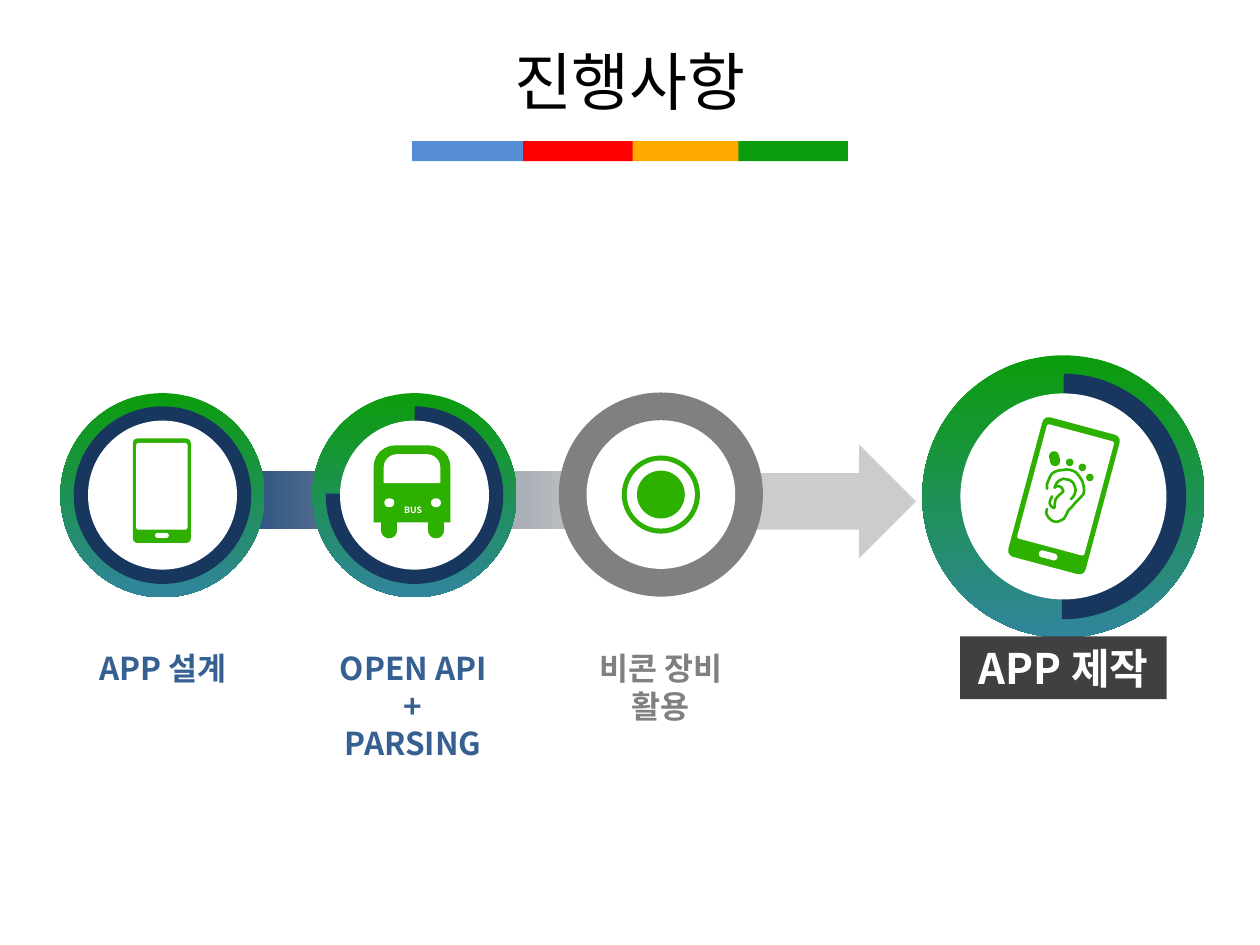
"""Build the progress slide: a colour bar, four round stages and an arrow."""
import dataclasses
import math
import typing

import lxml.etree
import pptx
import pptx.dml.color
import pptx.enum.shapes
import pptx.enum.text
import pptx.oxml.ns
import pptx.util

Inches = pptx.util.Inches
Pt = pptx.util.Pt
KIND = pptx.enum.shapes.MSO_SHAPE
FONT = "Noto Sans CJK KR"
HUES = {
    "black": "000000", "white": "FFFFFF", "gray": "808080", "dark": "404040",
    "green": "0B9D0B", "amber": "FFAA01", "red": "FF0000", "sky": "558ED5",
    "blue": "376092", "deep": "1F497D", "navy": "17375E", "teal": "31859C",
    "leaf": "2DB000",
}


@dataclasses.dataclass
class Part:
    """A preset shape placed by its centre, in inches."""
    kind: int
    x: float
    y: float
    w: float
    h: float
    fill: str
    turn: float = 0
    adj: tuple = ()
    edge: float = 0


@dataclasses.dataclass
class Label:
    """A text box placed by its left, top, width and height."""
    lines: tuple
    box: tuple
    size: float
    hue: str
    bold: bool = True
    wrap: bool = False
    inset: float = 0.08


def tint(name: str) -> pptx.dml.color.RGBColor:
    """Return the named colour."""
    return pptx.dml.color.RGBColor.from_string(HUES[name])


def tag(host: typing.Any, name: str, **atts: str) -> typing.Any:
    """Add a drawing element below the host."""
    return lxml.etree.SubElement(host, pptx.oxml.ns.qn(name), atts)


def fade(shape: typing.Any) -> None:
    """Make the last fill colour of a shape 40 percent opaque."""
    hue = list(shape._element.spPr.iter(pptx.oxml.ns.qn("a:srgbClr")))[-1]
    tag(hue, "a:alpha", val="40000")


def blend(shape: typing.Any, names: tuple, angle: float) -> None:
    """Fill a shape with a gradient of two colours."""
    shape.fill.gradient()
    shape.fill.gradient_angle = angle
    for stop, name in zip(shape.fill.gradient_stops, names):
        stop.color.rgb = tint(name)


def draw(host: typing.Any, part: Part) -> typing.Any:
    """Draw one preset shape."""
    shape = host.shapes.add_shape(
        part.kind, Inches(part.x - part.w / 2), Inches(part.y - part.h / 2),
        Inches(part.w), Inches(part.h))
    shape.shadow.inherit = False
    shape.rotation = part.turn
    for place, value in enumerate(part.adj):
        shape.adjustments[place] = value
    shape.fill.solid()
    shape.fill.fore_color.rgb = tint(part.fill)
    if part.edge:
        shape.line.color.rgb = tint(part.fill)
        shape.line.width = Pt(part.edge)
    else:
        shape.line.fill.background()
    return shape


def fill(shape: typing.Any, label: Label) -> None:
    """Fill a shape with centred text."""
    frame = shape.text_frame
    style = {"word_wrap": label.wrap, "margin_left": Inches(label.inset),
             "margin_right": Inches(label.inset),
             "auto_size": pptx.enum.text.MSO_AUTO_SIZE.SHAPE_TO_FIT_TEXT}
    for key, value in style.items():
        setattr(frame, key, value)
    frame.text = "\n".join(label.lines)
    for para in frame.paragraphs:
        para.alignment = pptx.enum.text.PP_ALIGN.CENTER
        run = para.runs[0]
        looks = {"name": FONT, "size": Pt(label.size), "bold": label.bold}
        for key, value in looks.items():
            setattr(run.font, key, value)
        run.font.color.rgb = tint(label.hue)
        tag(run._r.get_or_add_rPr(), "a:ea", typeface=FONT)


def write(host: typing.Any, label: Label) -> None:
    """Write a label in a text box."""
    fill(host.shapes.add_textbox(*map(Inches, label.box)), label)


def stroke(shape: typing.Any, width: float) -> None:
    """Give a line the leaf colour and round ends."""
    shape.line.color.rgb = tint("leaf")
    shape.line.width = Pt(width)
    shape.line._get_or_add_ln().set("cap", "rnd")


def disc(host: typing.Any, x: float, y: float, size: float, hue: str,
         turn: float = 0) -> typing.Any:
    """Draw a plain circle."""
    return draw(host, Part(KIND.OVAL, x, y, size, size, hue, turn))


def badge(host: typing.Any, x: float, y: float, size: float, end: float) -> None:
    """Draw a ring with a gauge that runs from the top to the end angle."""
    blend(disc(host, x, y, size, "green", 270), ("green", "teal"), 180)
    gauge = size * 0.87
    draw(host, Part(KIND.PIE, x, y, gauge, gauge, "navy", 0, (162.1, end)))
    disc(host, x, y, size * 0.73, "white")


def phone(host: typing.Any, x: float, y: float, scale: float, turn: float) -> None:
    """Draw a phone turned about its centre."""
    angle = math.radians(turn)
    for drop, w, h, hue, curve, edge in (
            (0, 0.46, 0.83, "leaf", 0.08, 0),
            (-0.035, 0.38, 0.66, "white", 0.01, 2),
            (0.355, 0.11, 0.04, "white", 0.5, 0)):
        draw(host, Part(
            KIND.ROUNDED_RECTANGLE, x - drop * scale * math.sin(angle),
            y + drop * scale * math.cos(angle), w * scale, h * scale,
            hue, turn, (curve,), edge))


def bus(host: typing.Any) -> None:
    """Draw the front of a bus."""
    for x in (3.09, 3.46):
        leg = host.shapes.add_connector(
            pptx.enum.shapes.MSO_CONNECTOR.STRAIGHT,
            Inches(x), Inches(4.03), Inches(x), Inches(4.21))
        stroke(leg, 9)
        tag(leg._element.spPr, "a:effectLst")
    top = KIND.ROUND_2_SAME_RECTANGLE
    draw(host, Part(top, 3.27, 3.84, 0.61, 0.61, "leaf", 0, (0.28, 0)))
    draw(host, Part(top, 3.27, 3.72, 0.45, 0.23, "white", 0, (0.46, 0)))
    write(host, Label(("BUS",), (3.08, 3.96, 0.4, 0.21), 5, "white"))
    for x in (3.09, 3.46):
        draw(host, Part(top, x, 3.99, 0.08, 0.07, "white", 0, (0.5, 0.5)))


def trace(host: typing.Any, dots: tuple) -> None:
    """Draw an open curve whose dots are the ends and handles of cubic spans."""
    points = [tuple(map(Inches, dot)) for dot in dots]
    pen = host.shapes.build_freeform(*points[0])
    pen.add_line_segments(points[1:], close=False)
    shape = pen.convert_to_shape()
    shape.shadow.inherit = False
    shape.fill.background()
    stroke(shape, 1.5)
    steps = list(shape._element.iter(pptx.oxml.ns.qn("a:lnTo")))
    track = steps[0].getparent()
    for start in range(0, len(steps), 3):
        span = tag(track, "a:cubicBezTo")
        for step in steps[start:start + 3]:
            span.append(step[0])
            track.remove(step)


CURVES = (
    ((8.37, 3.87), (8.38, 3.86), (8.4, 3.85), (8.41, 3.86), (8.42, 3.86), (8.44, 3.88),
     (8.44, 3.9), (8.43, 3.91), (8.39, 3.94), (8.38, 3.96), (8.37, 3.98), (8.37, 4.02),
     (8.37, 4.03), (8.36, 4.04), (8.33, 4.01), (8.33, 3.99), (8.33, 3.98), (8.34, 3.96),
     (8.35, 3.94)),
    ((8.37, 3.87), (8.38, 3.85), (8.38, 3.84), (8.39, 3.83), (8.4, 3.82), (8.42, 3.8),
     (8.44, 3.8), (8.45, 3.8), (8.48, 3.81), (8.49, 3.81), (8.51, 3.82), (8.53, 3.84),
     (8.53, 3.86), (8.54, 3.88), (8.54, 3.9), (8.53, 3.92), (8.53, 3.94), (8.51, 3.95),
     (8.5, 3.96)),
    ((8.31, 3.88), (8.31, 3.87), (8.31, 3.86), (8.31, 3.84), (8.32, 3.82), (8.33, 3.78),
     (8.35, 3.76), (8.37, 3.74), (8.41, 3.73), (8.44, 3.73), (8.47, 3.72), (8.51, 3.73),
     (8.54, 3.75), (8.56, 3.77), (8.58, 3.8), (8.59, 3.82), (8.6, 3.85), (8.61, 3.89),
     (8.6, 3.92), (8.58, 3.95), (8.53, 3.99), (8.51, 4.02), (8.49, 4.04), (8.49, 4.04),
     (8.48, 4.05), (8.47, 4.06), (8.47, 4.08), (8.46, 4.09), (8.45, 4.1), (8.45, 4.12),
     (8.44, 4.12), (8.42, 4.13), (8.39, 4.15), (8.37, 4.14), (8.35, 4.14), (8.32, 4.11),
     (8.31, 4.09), (8.3, 4.08), (8.3, 4.06), (8.31, 4.04)),
)


def main() -> None:
    """Build and save the slide."""
    deck = pptx.Presentation()
    deck.slide_width, deck.slide_height = Inches(10), Inches(7.5)
    slide = deck.slides.add_slide(deck.slide_layouts[6])
    write(slide, Label(("진행사항",), (3.98, 0.29, 2.04, 0.71), 36, "black", False))
    bar = slide.shapes.add_group_shape()
    for x, hue in ((6.29, "green"), (5.42, "amber"), (4.58, "red"), (3.71, "sky")):
        draw(bar, Part(KIND.RECTANGLE, x, 1.2, 0.16, 0.88, hue, 90))
    flow = slide.shapes.add_group_shape()
    fade(draw(flow, Part(KIND.RIGHT_ARROW, 6.24, 3.98, 2.06, 0.9, "gray")))
    write(flow, Label(("APP 설계",), (0.66, 5.1, 1.27, 0.4), 18, "blue"))
    write(flow, Label(("OPEN API", "+", "PARSING"), (2.57, 5.1, 1.42, 1.01), 18, "blue"))
    band = draw(flow, Part(KIND.RECTANGLE, 3.37, 3.97, 3.15, 0.45, "gray"))
    blend(band, ("deep", "gray"), 0)
    fade(band)
    badge(flow, 1.29, 3.93, 1.62, 161.98)
    phone(flow, 1.285, 3.895, 1, 0)
    badge(flow, 3.29, 3.93, 1.62, 108.63)
    bus(flow)
    for size, hue in ((1.62, "gray"), (1.18, "white"), (0.62, "leaf"),
                      (0.54, "white"), (0.38, "leaf")):
        disc(flow, 5.245, 3.925, size, hue)
    write(flow, Label(("비콘 장비 활용",), (4.4, 5.1, 1.69, 0.4), 18, "gray", True, True, 0.2))
    badge(flow, 8.44, 3.94, 2.24, 54.47)
    plate = draw(flow, Part(KIND.RECTANGLE, 8.44, 5.3, 1.64, 0.5, "dark"))
    fill(plate, Label(("APP 제작",), (), 24, "white"))
    phone(flow, 8.445, 3.935, 1.38, 15)
    for dots in CURVES:
        trace(flow, dots)
    for x, y, w, h, turn in ((8.37, 3.64, 0.08, 0.12, 347.6), (8.65, 3.79, 0.06, 0.06, 31.2),
                             (8.59, 3.71, 0.06, 0.06, 31.2), (8.49, 3.67, 0.06, 0.06, 31.2)):
        draw(flow, Part(KIND.ROUNDED_RECTANGLE, x, y, w, h, "leaf", turn, (0.5,)))
    deck.save("out.pptx")


if __name__ == "__main__":
    main()
